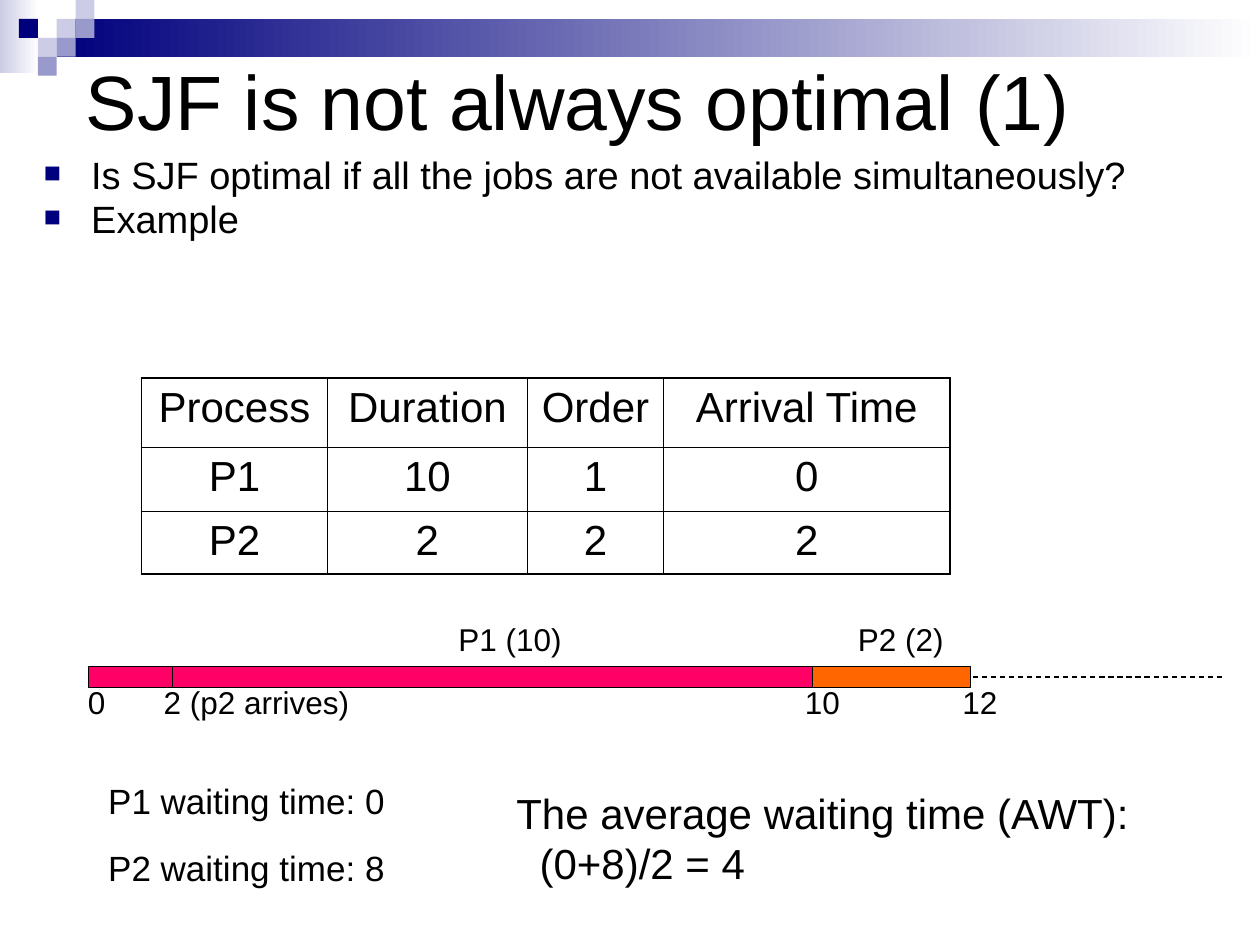
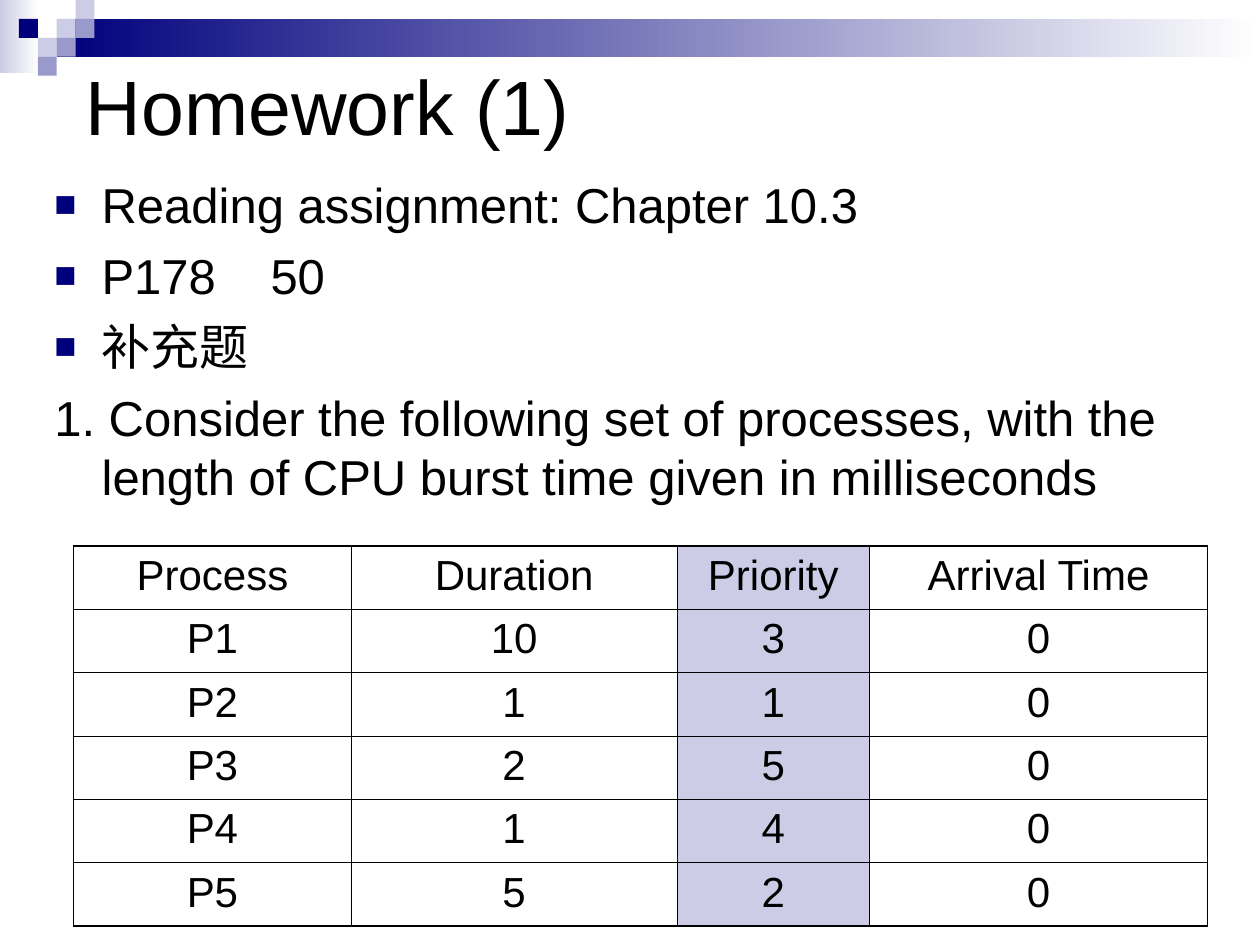
from lxml.etree import SubElement
from pptx import Presentation
from pptx.dml.color import RGBColor
from pptx.enum.dml import MSO_LINE_DASH_STYLE as Dash
from pptx.enum.shapes import MSO_CONNECTOR as Conn, MSO_SHAPE as Shape
from pptx.enum.text import MSO_ANCHOR as Anchor, PP_ALIGN as Align
from pptx.oxml import parse_xml
from pptx.oxml.ns import nsdecls, qn
from pptx.util import Pt

FONT = "Arial"
BLACK, WHITE = "000000", "FFFFFF"
NAVY, LILAC, VIOLET = "00007D", "CCCCE6", "9999CC"
PINK, ORANGE = "FF0066", "FF6600"
TILE = 10.8
TILES = [(3, 1, LILAC), (4, 0, LILAC), (4, 1, VIOLET), (2, 2, LILAC),
         (1, 1, NAVY), (3, 2, VIOLET), (2, 3, VIOLET)]
INDENT = 27


def color(value):
    return RGBColor.from_string(value)


def box_pts(box):
    return [Pt(v) for v in box]


def add_rect(s, box, fill, fade_to=None, line=None):
    sp = s.shapes.add_shape(Shape.RECTANGLE, *box_pts(box))
    sp.shadow.inherit = False
    if fade_to:
        sp.fill.gradient()
        sp.fill.gradient_angle = 0
        for stop, value in zip(sp.fill.gradient_stops, (fill, fade_to)):
            stop.color.rgb = color(value)
    else:
        sp.fill.solid()
        sp.fill.fore_color.rgb = color(fill)
    if line:
        sp.line.color.rgb = color(line)
        sp.line.width = Pt(0.75)
    else:
        sp.line.fill.background()
    return sp


def add_line(s, x1, y1, x2, y2, dash=None):
    cn = s.shapes.add_connector(Conn.STRAIGHT, *box_pts((x1, y1, x2, y2)))
    cn.line.color.rgb = color(BLACK)
    cn.line.width = Pt(0.75)
    if dash:
        cn.line.dash_style = dash
    SubElement(cn._element.spPr, qn("a:effectLst"))
    return cn


def write(p, text, size, **formats):
    for name, value in formats.items():
        setattr(p, name, value)
    r = p.add_run()
    r.text = text
    for name, value in {"name": FONT, "size": Pt(size)}.items():
        setattr(r.font, name, value)
    r.font.color.rgb = color(BLACK)


def add_text(s, box, lines, size, wrap=False, anchor=Anchor.TOP, **formats):
    tf = s.shapes.add_textbox(*box_pts(box)).text_frame
    tf.word_wrap = wrap
    tf.vertical_anchor = anchor
    for i, line in enumerate(lines):
        p = tf.paragraphs[0] if i == 0 else tf.add_paragraph()
        write(p, line, size, **formats)
    return tf


def hang(p, bullet=True):
    pPr = p._p.get_or_add_pPr()
    pPr.set("marL", str(Pt(INDENT)))
    pPr.set("indent", str(-Pt(INDENT)))
    if bullet:
        for xml in (f'<a:buClr {nsdecls("a")}><a:srgbClr val="{NAVY}"/></a:buClr>',
                    f'<a:buSzPct {nsdecls("a")} val="75000"/>',
                    f'<a:buFont {nsdecls("a")} typeface="{FONT}"/>',
                    f'<a:buChar {nsdecls("a")} char="■"/>'):
            pPr.append(parse_xml(xml))


def add_tab_stop(p, position):
    tabs = SubElement(p._p.get_or_add_pPr(), qn("a:tabLst"))
    SubElement(tabs, qn("a:tab"), pos=str(Pt(position)), algn="l")


def add_band(s):
    add_rect(s, (0, 0, 22.3, 41.8), LILAC, fade_to=WHITE)
    add_rect(s, (3 * TILE, TILE, 720 - 3 * TILE, 2 * TILE), NAVY, fade_to=WHITE)
    for col, row, fill in TILES:
        add_rect(s, (col * TILE, row * TILE, TILE, TILE), fill)


def new_slide(prs, title, top, height):
    s = prs.slides.add_slide(prs.slide_layouts[6])
    add_band(s)
    add_text(s, (42, top, 648, height), [title], 44, wrap=True, anchor=Anchor.MIDDLE)
    return s


def add_bullets(s, box, lines, size, plain=(), **formats):
    tf = add_text(s, box, lines, size, wrap=True, space_before=Pt(7), **formats)
    for p in tf.paragraphs:
        hang(p, bullet=p.text not in plain)
    return tf


def set_borders(cell, outer):
    tcPr = cell._tc.get_or_add_tcPr()
    for i, side in enumerate("LRTB"):
        width = Pt(1.08 if side in outer else 0.45)
        tcPr.insert(i, parse_xml(
            f'<a:ln{side} {nsdecls("a")} w="{width}"><a:solidFill>'
            f'<a:srgbClr val="{BLACK}"/></a:solidFill></a:ln{side}>'))


def add_process_table(s, left, top, widths, heights, rows, shaded=None):
    frame = s.shapes.add_table(len(rows), len(widths), *box_pts(
        (left, top, sum(widths), sum(heights))))
    table = frame.table
    table.first_row = table.horz_banding = False
    for col, width in zip(table.columns, widths):
        col.width = Pt(width)
    for row, height in zip(table.rows, heights):
        row.height = Pt(height)
    last_row, last_col = len(rows) - 1, len(widths) - 1
    for y, values in enumerate(rows):
        for x, value in enumerate(values):
            cell = table.cell(y, x)
            if x == shaded:
                cell.fill.solid()
                cell.fill.fore_color.rgb = color(LILAC)
            else:
                cell.fill.background()
            write(cell.text_frame.paragraphs[0], value, 24,
                  alignment=Align.CENTER, space_before=Pt(6))
            edges = {"L": x == 0, "R": x == last_col, "T": y == 0, "B": y == last_row}
            set_borders(cell, [side for side, on in edges.items() if on])


def add_timeline(s, left, top):
    height, p1_width, p2_width, arrival = 12.2, 414, 90, 48.2
    middle = top + height / 2
    axis = add_line(s, left, middle, left + 648, middle, Dash.DASH)
    p1 = add_rect(s, (left, top, p1_width, height), PINK, line=BLACK)
    axis.begin_connect(p1, 1)
    add_rect(s, (left + p1_width, top, p2_width, height), ORANGE, line=BLACK)
    add_line(s, left + arrival, top, left + arrival, top + height)
    for dx, width, label in [(204.5, 73.4, "P1 (10)"), (432.7, 63.4, "P2 (2)")]:
        add_text(s, (left + dx, top - 30.2, width, 28.8), [label], 18)
    for dx, width, label in [(-7.2, 24.5, "0"), (36, 149.8, "2 (p2 arrives)"),
                             (402.5, 34.6, "10"), (492.5, 34.6, "12")]:
        add_text(s, (left + dx, middle, width, 28.8), [label], 18)


def add_waiting_times(s, left, top):
    for i, label in enumerate(["P1 waiting time: 0", "P2 waiting time: 8"]):
        add_text(s, (left, top + 38.2 * i, 190, 31.7), [label], 20, wrap=True)
    tf = add_text(s, (left + 233.3, top + 4.5, 371.5, 64.8),
                  ["The average waiting time (AWT):", "(0+8)/2 = 4"], 24, wrap=True)
    tf.paragraphs[1]._p.get_or_add_pPr().set("marL", str(Pt(13.3)))


def build_sjf(prs):
    s = new_slide(prs, "SJF is not always optimal (1)", 18, 78)
    add_bullets(s, (18, 90, 680.4, 72),
                ["Is SJF optimal if all the jobs are not available simultaneously?",
                 "Example"], 21.7, line_spacing=0.7)
    add_process_table(s, 80.8, 216, [106.4, 114.1, 78, 163.5], [39.6, 36.5, 36],
                      [("Process", "Duration", "Order", "Arrival Time"),
                       ("P1", "10", "1", "0"),
                       ("P2", "2", "2", "2")])
    add_timeline(s, 50.4, 380.8)
    add_waiting_times(s, 54.7, 442)


def build_homework(prs):
    s = new_slide(prs, "Homework (1)", 6, 108)
    question = ("1. Consider the following set of processes, with the "
                "length of CPU burst time given in milliseconds")
    tf = add_bullets(s, (24, 96, 678, 396),
                     ["Reading assignment: Chapter 10.3", "P178\t50", "补充题", question],
                     28, plain=[question])
    add_tab_stop(tf.paragraphs[1], 123.5)
    add_process_table(s, 42, 312, [158.8, 186, 110.2, 193], [36.2] * 6,
                      [("Process", "Duration", "Priority", "Arrival Time"),
                       ("P1", "10", "3", "0"),
                       ("P2", "1", "1", "0"),
                       ("P3", "2", "5", "0"),
                       ("P4", "1", "4", "0"),
                       ("P5", "5", "2", "0")], shaded=2)


def main():
    prs = Presentation()
    prs.slide_width, prs.slide_height = Pt(720), Pt(540)
    build_sjf(prs)
    build_homework(prs)
    prs.save("out.pptx")


if __name__ == "__main__":
    main()
